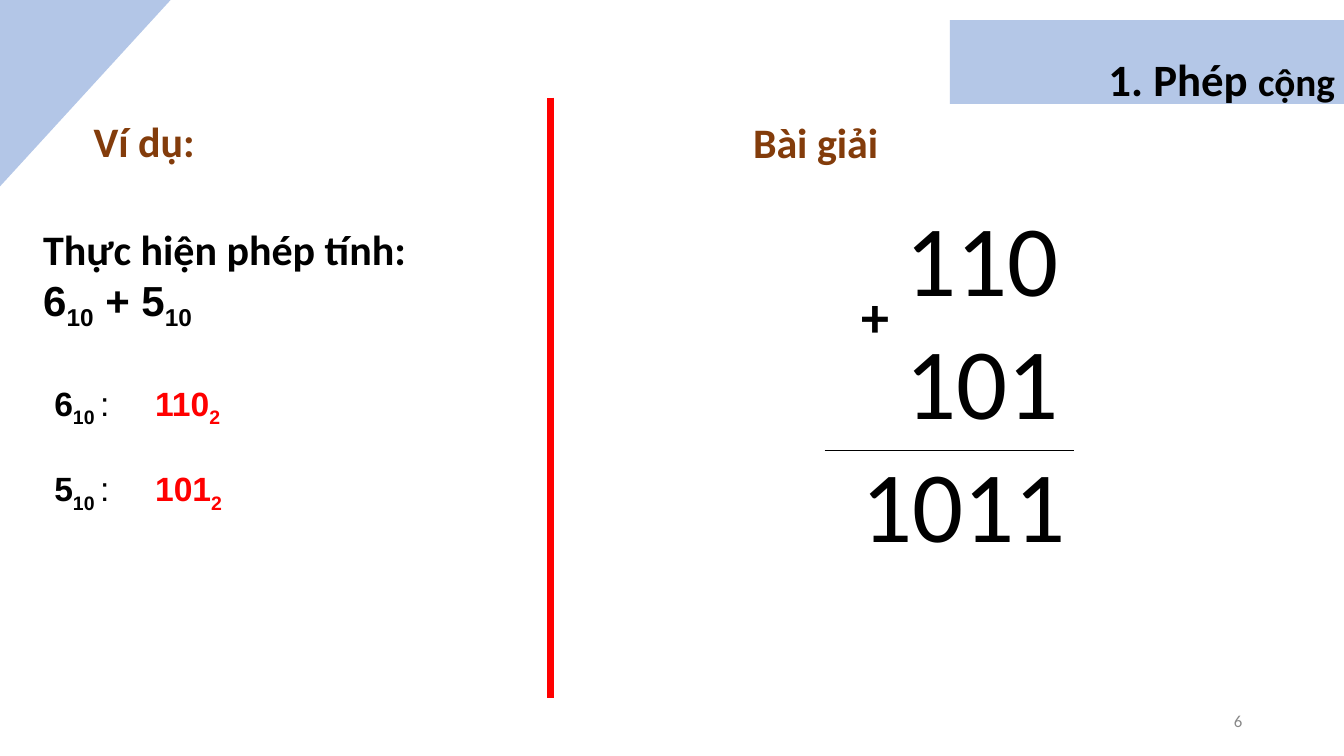
"""Builds a slide on binary addition: the exercise on the left, its solution on the right."""
from lxml import etree
from pptx import Presentation
from pptx.dml.color import RGBColor
from pptx.enum.shapes import MSO_CONNECTOR
from pptx.enum.text import MSO_ANCHOR, PP_ALIGN
from pptx.oxml.ns import qn
from pptx.util import Inches, Pt

STRAIGHT = MSO_CONNECTOR.STRAIGHT
TOP, MIDDLE = MSO_ANCHOR.TOP, MSO_ANCHOR.MIDDLE
RIGHT = PP_ALIGN.RIGHT
BLACK = RGBColor(0x00, 0x00, 0x00)
RED = RGBColor(0xFF, 0x00, 0x00)
BROWN = RGBColor(0x83, 0x3C, 0x0B)
GRAY = RGBColor(0x88, 0x88, 0x88)
CORNER_BLUE = RGBColor(0xB3, 0xC6, 0xE7)
BAND_BLUE = RGBColor(0xB4, 0xC7, 0xE7)

prs = Presentation()
prs.slide_width, prs.slide_height = Inches(13.33), Inches(7.5)
slide = prs.slides.add_slide(prs.slide_layouts[5])


def add_text(left, top, width, height, lines, size, color=BLACK, bold=False):
    frame = slide.shapes.add_textbox(
        Inches(left), Inches(top), Inches(width), Inches(height)).text_frame
    frame.word_wrap = True
    for index, line in enumerate(lines):
        paragraph = frame.paragraphs[0] if index == 0 else frame.add_paragraph()
        paragraph.text = line
        font = paragraph.font
        font.name, font.size, font.bold = "Calibri", Pt(size), bold
        font.color.rgb = color
    return frame


def add_number(paragraph, digits, base, color=BLACK):
    for text, baseline in ((digits, "0"), (base, "-25000")):
        run = paragraph.add_run()
        run.text = text
        run.font.color.rgb = color
        run.font.bold = True
        run.font._element.set("baseline", baseline)


corner_outline = slide.shapes.build_freeform(Inches(-0.01), Inches(-0.02), scale=1.0)
corner_outline.add_line_segments(
    [(Inches(-0.01), Inches(1.86)), (Inches(1.71), Inches(-0.02))], close=True)
corner = corner_outline.convert_to_shape()
corner.shadow.inherit = False
corner.fill.solid()
corner.fill.fore_color.rgb = CORNER_BLUE
corner.line.fill.background()

title = slide.shapes.title
title.left, title.top = Inches(9.42), Inches(0.2)
title.width, title.height = Inches(3.92), Inches(0.83)
title.fill.solid()
title.fill.fore_color.rgb = BAND_BLUE
title.text_frame.vertical_anchor = TOP
heading = title.text_frame.paragraphs[0]
heading.alignment, heading.line_spacing = RIGHT, 1.5
heading.font.name, heading.font.bold = "Calibri", True
heading.font.color.rgb = BLACK
for text, size in (("1. Phép ", 32), ("cộng", 28)):
    run = heading.add_run()
    run.text, run.font.size = text, Pt(size)

add_text(0.83, 1.1, 4.09, 0.61, ["Ví dụ:"], 30, BROWN, True)
add_text(7.37, 1.11, 5.05, 0.61, ["Bài giải"], 30, BROWN, True)

task = add_text(0.33, 2.17, 5.13, 1.11, ["Thực hiện phép tính:", ""], 30, bold=True)
expression = task.paragraphs[1]
expression.font.name = "Arial"
add_number(expression, "6", "10")
add_number(expression, " + 5", "10")

conversions = add_text(0.44, 3.75, 4.91, 1.31, ["", ""], 24)
conversions.paragraphs[1].space_before = Pt(28)
for paragraph, decimal, binary in zip(conversions.paragraphs, "65", ("110", "101")):
    paragraph.font.name = "Arial"
    add_number(paragraph, decimal, "10 ")
    paragraph.add_run().text = ":\t"
    add_number(paragraph, binary, "2", RED)

addends = add_text(8.88, 2.03, 2.31, 2.51, ["110", "101"], 72)
addends.paragraphs[1].space_before = Pt(10)
total = add_text(8.45, 4.47, 2.31, 1.21, ["1011"], 72)
for paragraph in addends.paragraphs + total.paragraphs:
    paragraph.line_spacing = 0.9
add_text(8.45, 2.74, 0.44, 0.77, ["+"], 40, bold=True)

for x1, y1, x2, y2, color, weight in (
        (5.46, 0.97, 5.46, 6.92, RED, 4.5),
        (8.18, 4.47, 10.65, 4.47, BLACK, 0.75)):
    rule = slide.shapes.add_connector(
        STRAIGHT, Inches(x1), Inches(y1), Inches(x2), Inches(y2))
    rule.line.color.rgb = color
    rule.line.width = Pt(weight)
    etree.SubElement(rule._element.spPr, qn("a:effectLst"))

page_number = add_text(9.42, 6.95, 3, 0.4, ["6"], 12, GRAY)
page_number.vertical_anchor = MIDDLE
page_number.paragraphs[0].alignment = RIGHT

prs.save("out.pptx")
